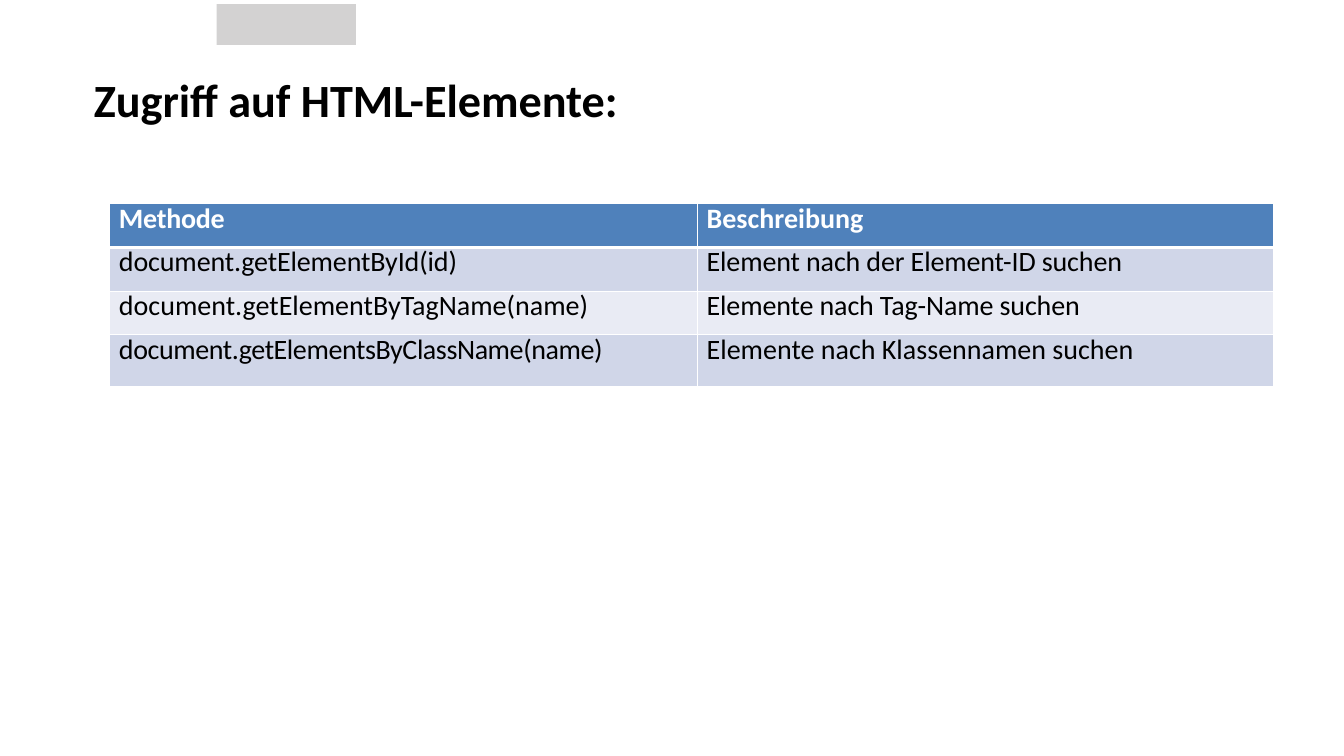
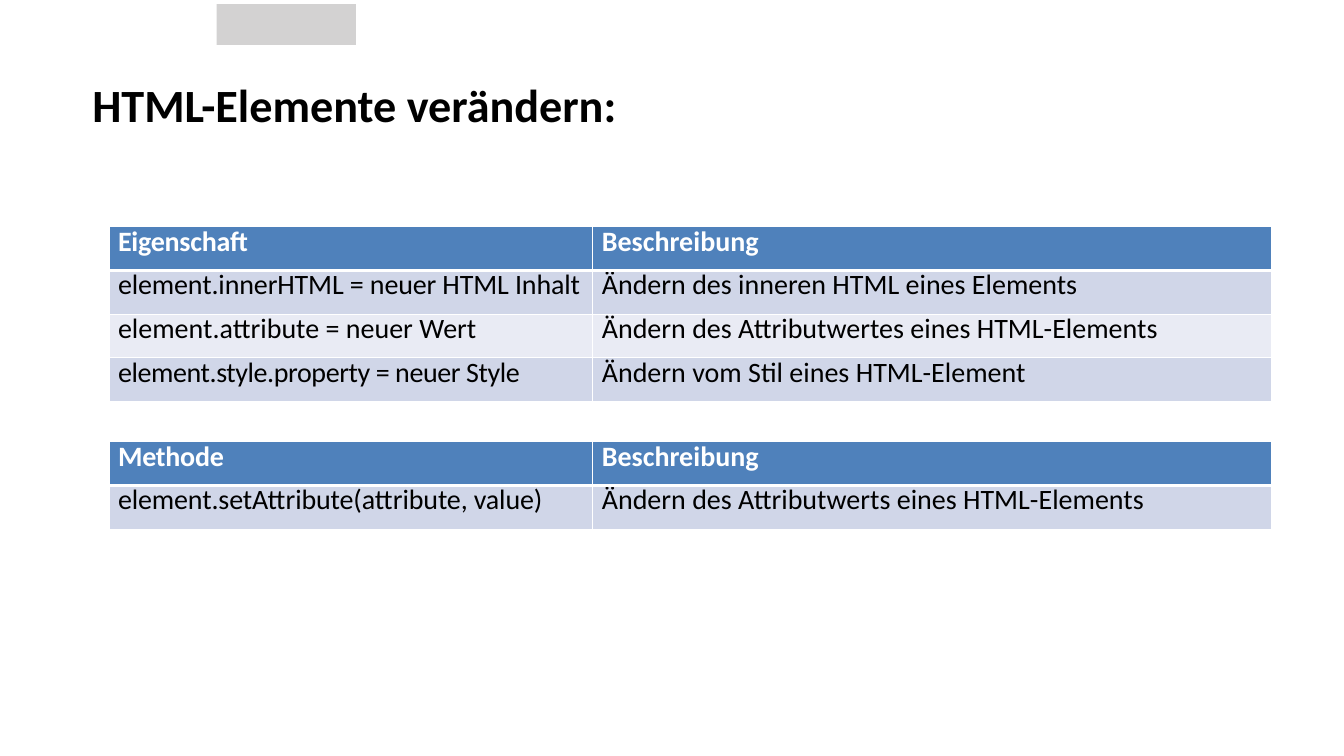
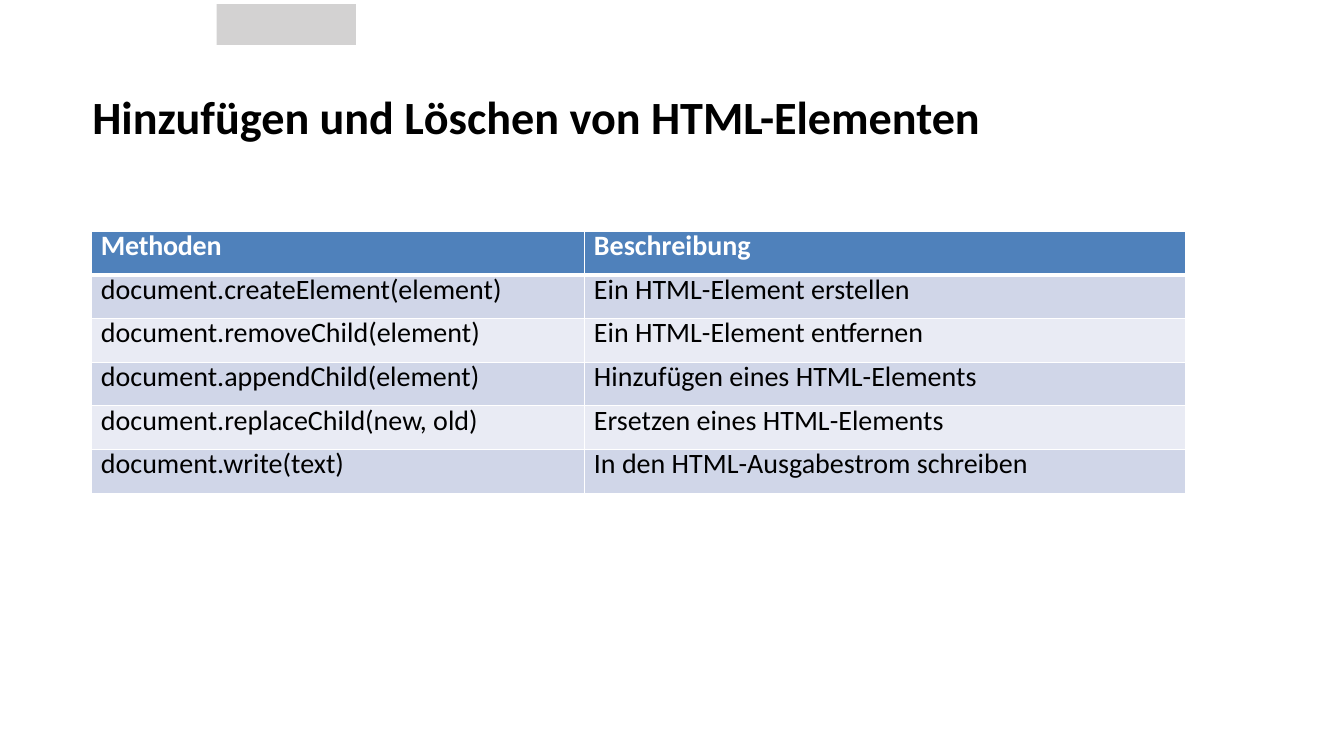
from lxml.etree import SubElement
from pptx import Presentation
from pptx.dml.color import RGBColor
from pptx.enum.shapes import MSO_SHAPE
from pptx.enum.text import MSO_AUTO_SIZE as AutoSize
from pptx.oxml.ns import qn
from pptx.util import Pt

BLACK = RGBColor(0x00, 0x00, 0x00)
WHITE = RGBColor(0xFF, 0xFF, 0xFF)
GREY = RGBColor(0xD3, 0xD2, 0xD2)
HEADER_BLUE = RGBColor(0x4F, 0x81, 0xBB)
BAND_DARK = RGBColor(0xD0, 0xD6, 0xE8)
BAND_LIGHT = RGBColor(0xE9, 0xEB, 0xF4)


class Slides:
    """Holds the deck style and the current page."""

    font_name = "Calibri"
    title_size = 33
    table_size = 20
    row_height = 31.2

    def __init__(self):
        self.deck = Presentation()
        self.deck.slide_width, self.deck.slide_height = Pt(960), Pt(540)
        self.page = None

    def add_page(self, title, left, top):
        self.page = self.deck.slides.add_slide(self.deck.slide_layouts[6])
        self.add_block(154.8, 3, 99.4, 29)
        self.add_title(title, left, top)

    def add_block(self, left, top, width, height):
        block = self.page.shapes.add_shape(
            MSO_SHAPE.RECTANGLE, Pt(left), Pt(top), Pt(width), Pt(height))
        block.shadow.inherit = False
        block.fill.solid()
        block.fill.fore_color.rgb = GREY
        block.line.fill.background()

    def add_title(self, text, left, top):
        box = self.page.shapes.add_textbox(Pt(left), Pt(top), Pt(879), Pt(41))
        frame = box.text_frame
        frame.word_wrap = True
        frame.auto_size = AutoSize.SHAPE_TO_FIT_TEXT
        frame.margin_left = frame.margin_top = Pt(1)
        frame.margin_right = frame.margin_bottom = 0
        frame.text = text
        para = frame.paragraphs[0]
        para.space_before = Pt(1)
        self.style(para.runs[0], self.title_size, BLACK, True)

    def add_table(self, left, top, widths, header, rows, last_height=row_height):
        """Each row is two texts, then optional letter spacing in 1/100 pt."""
        lines = [(*header, -20), *rows]
        table = self.page.shapes.add_table(
            len(lines), len(widths), Pt(left), Pt(top),
            Pt(sum(widths)), Pt(self.row_height * len(lines))).table
        for column, width in zip(table.columns, widths):
            column.width = Pt(width)
        for number, (first, second, *spacing) in enumerate(lines):
            is_last = number == len(lines) - 1
            table.rows[number].height = Pt(last_height if is_last else self.row_height)
            spacing = (spacing + [0, 0])[:2]
            for column, text in enumerate((first, second)):
                self.fill_cell(table.cell(number, column), text, number, spacing[column])

    def fill_cell(self, cell, text, row, spacing):
        is_header = row == 0
        # Borders come before the fill in the cell properties
        self.add_borders(cell, top=3 if row == 1 else 1, bottom=3 if is_header else 1)
        cell.fill.solid()
        band = BAND_DARK if row % 2 else BAND_LIGHT
        cell.fill.fore_color.rgb = HEADER_BLUE if is_header else band
        cell.margin_left = Pt(6.5)
        cell.margin_top = cell.margin_right = cell.margin_bottom = 0
        cell.text_frame.text = text
        para = cell.text_frame.paragraphs[0]
        para.line_spacing = Pt(22.8)
        span = para.runs[0]
        self.style(span, self.table_size, WHITE if is_header else BLACK, is_header)
        if spacing:
            span.font._element.set("spc", str(spacing))

    def add_borders(self, cell, top, bottom):
        properties = cell._tc.get_or_add_tcPr()
        for side, width in (("L", 1), ("R", 1), ("T", top), ("B", bottom)):
            line = SubElement(properties, qn(f"a:ln{side}"), w=str(Pt(width)))
            fill = SubElement(line, qn("a:solidFill"))
            SubElement(fill, qn("a:srgbClr"), val=str(WHITE))

    def style(self, span, size, color, bold):
        span.font.name = self.font_name
        span.font.size = Pt(size)
        span.font.color.rgb = color
        span.font.bold = bold


def main():
    slides = Slides()

    # Access to elements
    slides.add_page("Zugriff auf HTML-Elemente:", 66, 50.2)
    slides.add_table(78.5, 145.6, (419.8, 411.8), ("Methode", "Beschreibung"), [
        ("document.getElementById(id)", "Element nach der Element-ID suchen", -10, -10),
        ("document.getElementByTagName(name)", "Elemente nach Tag-Name suchen", 0, -10),
        ("document.getElementsByClassName(name)", "Elemente nach Klassennamen suchen", -30),
    ], last_height=36.7)

    # Changing elements
    slides.add_page("HTML-Elemente verändern:", 65, 53.5)
    widths = (345.6, 485.2)
    slides.add_table(77.8, 162, widths, ("Eigenschaft", "Beschreibung"), [
        ("element.innerHTML = neuer HTML Inhalt",
         "Ändern des inneren HTML eines Elements", -10),
        ("element.attribute = neuer Wert", "Ändern des Attributwertes eines HTML-Elements"),
        ("element.style.property = neuer Style", "Ändern vom Stil eines HTML-Element", -30),
    ])
    slides.add_table(77.8, 315.6, widths, ("Methode", "Beschreibung"), [
        ("element.setAttribute(attribute, value)",
         "Ändern des Attributwerts eines HTML-Elements", -10),
    ])

    # Adding and deleting elements
    slides.add_page("Hinzufügen und Löschen von HTML-Elementen", 65, 62)
    slides.add_table(65.6, 165.2, (352.2, 429), ("Methoden", "Beschreibung"), [
        ("document.createElement(element)", "Ein HTML-Element erstellen"),
        ("document.removeChild(element)", "Ein HTML-Element entfernen"),
        ("document.appendChild(element)", "Hinzufügen eines HTML-Elements"),
        ("document.replaceChild(new, old)", "Ersetzen eines HTML-Elements"),
        ("document.write(text)", "In den HTML-Ausgabestrom schreiben"),
    ])

    slides.deck.save("out.pptx")


if __name__ == "__main__":
    main()
